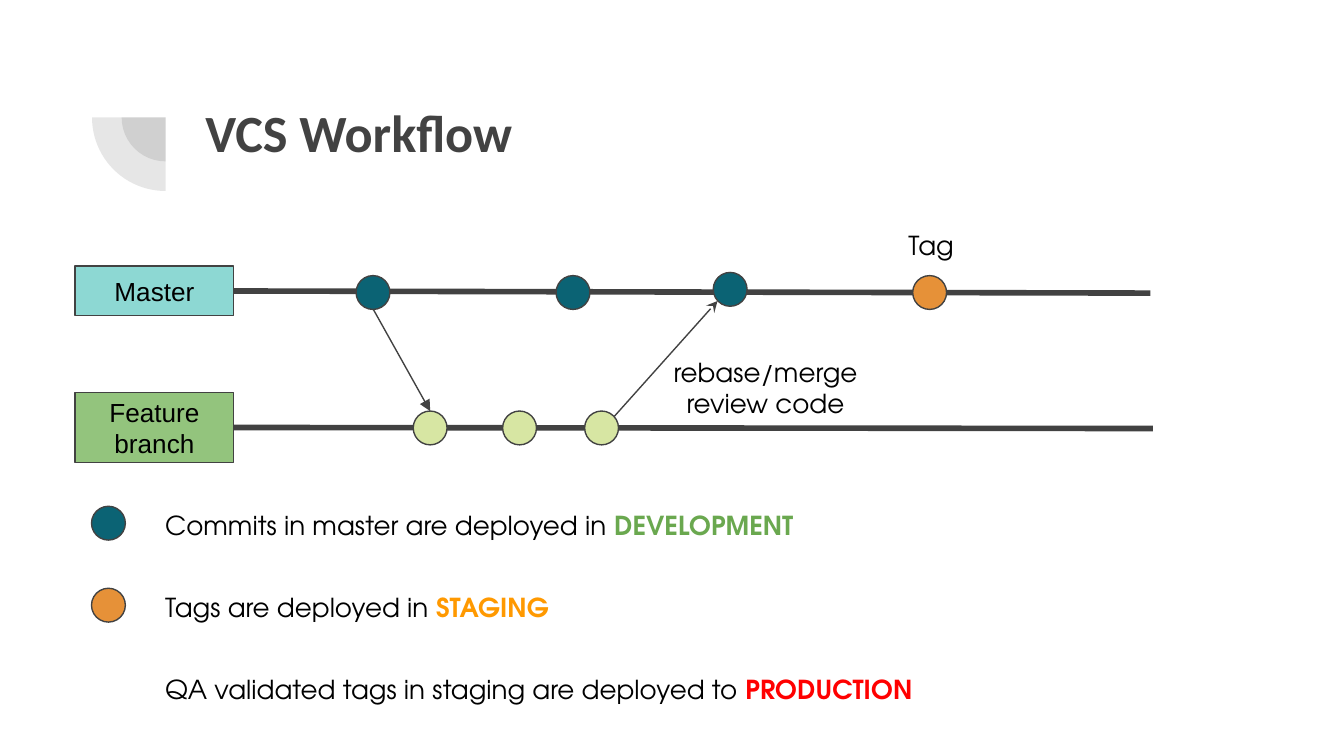
from lxml import etree
from pptx import Presentation
from pptx.dml.color import RGBColor
from pptx.enum import shapes, text
from pptx.oxml import ns
from pptx.util import Cm, Pt

DARK = RGBColor(0x42, 0x42, 0x42)
BLACK = RGBColor(0, 0, 0)
AQUA = RGBColor(0x8D, 0xD8, 0xD3)
GREEN = RGBColor(0x93, 0xC4, 0x7D)
TEAL = RGBColor(0x0B, 0x63, 0x74)
LIME = RGBColor(0xD7, 0xE6, 0xA3)
ORANGE = RGBColor(0xE6, 0x91, 0x38)
DEVELOPMENT = RGBColor(0x6A, 0xA8, 0x4F)
STAGING = RGBColor(0xFF, 0x99, 0x00)
PRODUCTION = RGBColor(0xFF, 0, 0)

BODY_FONT = "TeX Gyre Adventor"
DOT = 0.64
LEFT, CENTER = text.PP_ALIGN.LEFT, text.PP_ALIGN.CENTER


def write(shape, lines, font="Arial", size=14, color=BLACK, bold=False,
          align=LEFT, anchor=text.MSO_ANCHOR.TOP):
    """Fill a shape with lines, each a list of (words, accent colour or None)."""
    frame = shape.text_frame
    frame.word_wrap = True
    frame.vertical_anchor = anchor
    frame.margin_left = frame.margin_right = Cm(0.25)
    frame.margin_top = frame.margin_bottom = Cm(0.25)
    for index, line in enumerate(lines):
        paragraph = frame.add_paragraph() if index else frame.paragraphs[0]
        paragraph.alignment = align
        for words, accent in line:
            run = paragraph.add_run()
            run.text = words
            run.font.name = font
            run.font.size = Pt(size)
            run.font.bold = bold or accent is not None
            run.font.color.rgb = accent or color


def add_text(slide, left, top, width, height, lines, **style):
    box = slide.shapes.add_textbox(Cm(left), Cm(top), Cm(width), Cm(height))
    write(box, lines, **style)


def add_filled(slide, kind, left, top, width, height, fill):
    shape = slide.shapes.add_shape(kind, Cm(left), Cm(top), Cm(width), Cm(height))
    shape.shadow.inherit = False
    shape.fill.solid()
    shape.fill.fore_color.rgb = fill
    shape.line.color.rgb = DARK
    shape.line.width = Pt(0.75)
    return shape


def add_dot(slide, x, y, fill):
    """Draw a commit circle centred on x, y."""
    add_filled(slide, shapes.MSO_SHAPE.OVAL, x - DOT / 2, y - DOT / 2, DOT, DOT, fill)


def add_quarter(slide, x, y, radius):
    """Draw a translucent lower-left quarter disc around x, y."""
    quarter = add_filled(slide, shapes.MSO_SHAPE.PIE, x - radius, y - radius,
                         2 * radius, 2 * radius, DARK)
    quarter.adjustments[0] = 108
    quarter.adjustments[1] = 162
    quarter.rotation = 270
    quarter.line.fill.background()
    color = quarter.fill._xPr.find(".//" + ns.qn("a:srgbClr"))
    etree.SubElement(color, ns.qn("a:alpha"), val="13000")


def add_line(slide, start, end, width, head=None):
    points = [Cm(value) for value in (*start, *end)]
    line = slide.shapes.add_connector(shapes.MSO_CONNECTOR.STRAIGHT, *points)
    line.line.color.rgb = DARK
    line.line.width = Pt(width)
    if head:
        etree.SubElement(line.line._get_or_add_ln(), ns.qn("a:tailEnd"), type=head)
    etree.SubElement(line._element.spPr, ns.qn("a:effectLst"))
    return line


def add_branch(slide, names, top, height, fill, end):
    """Draw a branch label and the timeline that leaves its right side."""
    label = add_filled(slide, shapes.MSO_SHAPE.RECTANGLE, 1.42, top, 3, height, fill)
    write(label, [[(name, None)] for name in names], align=CENTER,
          anchor=text.MSO_ANCHOR.MIDDLE)
    timeline = add_line(slide, (4.42, top + height / 2), end, 3)
    timeline.begin_connect(label, 3)


def add_legend(slide):
    entries = [
        (TEAL, "Commits in master are deployed in ", "DEVELOPMENT", DEVELOPMENT),
        (ORANGE, "Tags are deployed in ", "STAGING", STAGING),
        (None, "QA validated tags in staging are deployed to ", "PRODUCTION", PRODUCTION),
    ]
    for row, (dot, words, target, accent) in enumerate(entries):
        top = 9.37 + 1.55 * row
        if dot:
            add_dot(slide, 2.05, top + 0.52, dot)
        add_text(slide, 2.87, top, 15.04, 1.12, [[(words, None), (target, accent)]],
                 font=BODY_FONT)


def main():
    presentation = Presentation()
    presentation.slide_width, presentation.slide_height = Cm(25.4), Cm(14.29)
    slide = presentation.slides.add_slide(presentation.slide_layouts[6])

    for radius in (0.83, 1.39):
        add_quarter(slide, 3.13, 2.22, radius)
    add_text(slide, 3.63, 1.65, 19.53, 2.77, [[("VCS Workflow", None)]],
             font="Calibri", size=28, color=DARK, bold=True)

    add_branch(slide, ["Master"], 5.03, 0.94, AQUA, (21.74, 5.54))
    add_branch(slide, ["Feature", "branch"], 7.42, 1.32, GREEN, (21.79, 8.1))
    add_line(slide, (11.61, 7.87), (13.56, 5.69), 0.75, "stealth")
    add_line(slide, (7.04, 5.82), (8.13, 7.77), 0.75, "triangle")

    for x, y in ((7.05, 5.53), (10.83, 5.53), (13.8, 5.47)):
        add_dot(slide, x, y, TEAL)
    for x in (8.13, 9.82, 11.37):
        add_dot(slide, x, 8.09, LIME)
    add_dot(slide, 17.57, 5.53, ORANGE)

    add_text(slide, 16.92, 4.09, 2.31, 1.12, [[("Tag", None)]], font=BODY_FONT)
    add_text(slide, 12.45, 6.48, 4.04, 1.7,
             [[("rebase/merge", None)], [("review code", None)]],
             font=BODY_FONT, align=CENTER)
    add_legend(slide)
    presentation.save("out.pptx")


if __name__ == "__main__":
    main()
